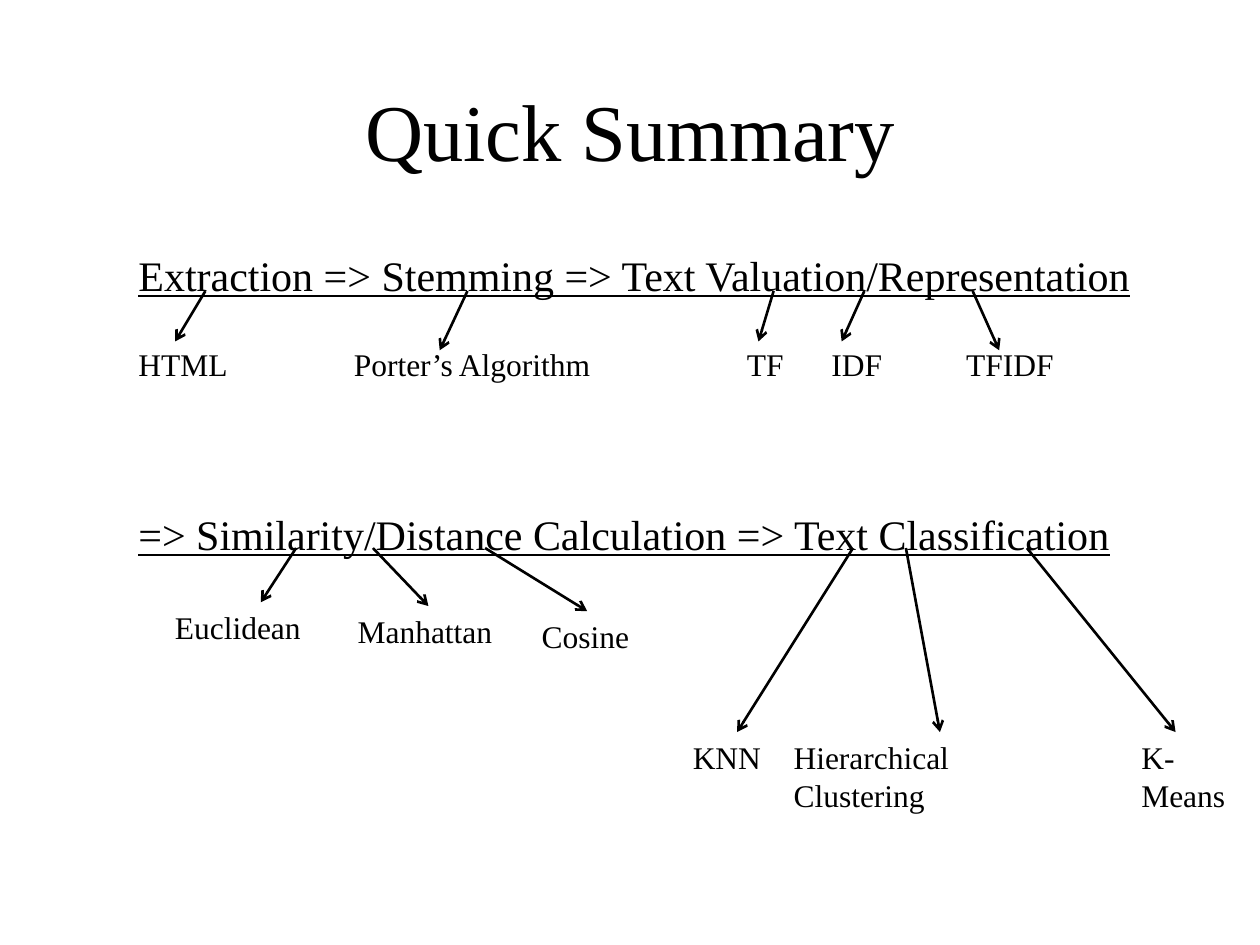
import pptx
import pptx.util
import pptx.dml.color
import pptx.enum.shapes
import pptx.enum.text
import pptx.oxml
import pptx.oxml.ns
from pptx.util import Inches

FONT = "Times New Roman"
BLACK = "000000"

# Content
TITLE = "Quick Summary"
FIRST_STAGES = "Extraction => Stemming => Text Valuation/Representation"
FIRST_METHODS = ["HTML", "Porter’s Algorithm", "TF", "IDF", "TFIDF"]
METHOD_TABS = [1.71, 4.83, 5.5, 6.57]
SECOND_STAGES = "=> Similarity/Distance Calculation => Text Classification"

# Label: left, top, width
SECOND_METHODS = {
    "Euclidean": (1.29, 4.78, 1.3),
    "Manhattan": (2.74, 4.81, 1.4),
    "Cosine": (4.2, 4.85, 1),
    "KNN": (5.4, 5.81, 0.8),
    "Hierarchical Clustering": (6.2, 5.81, 1.6),
    "K-Means": (8.96, 5.81, 0.9),
}

# Underline height: (start x, end x, end y) of each arrow
ARROWS = {
    2.31: [(1.63, 1.39, 2.71), (3.71, 3.49, 2.78), (6.14, 6.02, 2.71),
           (6.86, 6.68, 2.71), (7.72, 7.93, 2.78)],
    4.35: [(2.35, 2.07, 4.78), (2.96, 3.4, 4.81), (3.85, 4.66, 4.85),
           (6.77, 5.85, 5.81), (7.19, 7.46, 5.81), (8.15, 9.33, 5.81)],
}


def color(value):
    return pptx.dml.color.RGBColor.from_string(value)


def write(paragraph, text, size=18, underline=False, before=0, align="LEFT", tabs=()):
    """Fill a paragraph with formatted text."""
    if tabs:
        properties = paragraph._p.get_or_add_pPr()
        stops = pptx.oxml.ns.qn("a:tabLst")
        stops = properties.makeelement(stops, {})
        properties.append(stops)
        for position in tabs:
            stop = stops.makeelement(pptx.oxml.ns.qn("a:tab"),
                                     {"pos": str(Inches(position)), "algn": "l"})
            stops.append(stop)
    paragraph.alignment = getattr(pptx.enum.text.PP_ALIGN, align)
    paragraph.space_before = pptx.util.Pt(before)
    run = paragraph.add_run()
    run.text = text
    run.font.name = FONT
    run.font.size = pptx.util.Pt(size)
    run.font.underline = underline
    run.font.color.rgb = color(BLACK)


def add_box(slide, left, top, width, height):
    box = slide.shapes.add_textbox(*map(Inches, (left, top, width, height)))
    box.text_frame.word_wrap = True
    return box.text_frame


def add_arrow(slide, start, end):
    arrow = slide.shapes.add_connector(
        pptx.enum.shapes.MSO_CONNECTOR.STRAIGHT, *map(Inches, start + end))
    arrow.line.color.rgb = color(BLACK)
    arrow.line.width = pptx.util.Pt(1.5)
    line = arrow.line._get_or_add_ln()
    line.append(line.makeelement(pptx.oxml.ns.qn("a:tailEnd"), {"type": "arrow"}))
    properties = arrow._element.spPr
    properties.append(properties.makeelement(pptx.oxml.ns.qn("a:effectLst"), {}))


def main():
    deck = pptx.Presentation()
    deck.slide_width, deck.slide_height = Inches(10), Inches(7.5)
    slide = deck.slides.add_slide(deck.slide_layouts[5])

    # Title
    title = slide.shapes.title
    title.left, title.top, title.width, title.height = map(Inches, (1, 0.55, 8, 0.95))
    title.text_frame.vertical_anchor = pptx.enum.text.MSO_ANCHOR.MIDDLE
    write(title.text_frame.paragraphs[0], TITLE, size=46, align="CENTER")

    # Pipeline stages, with the first row of methods set on tab stops
    stages = add_box(slide, 1, 1.93, 8.15, 2.6)
    write(stages.paragraphs[0], FIRST_STAGES, size=24, underline=True)
    write(stages.add_paragraph(), "\t".join(FIRST_METHODS), before=26, tabs=METHOD_TABS)
    write(stages.add_paragraph(), SECOND_STAGES, size=24, underline=True, before=71.5)

    # Arrows from the stages to their methods
    for underline_y, targets in ARROWS.items():
        for start_x, end_x, end_y in targets:
            add_arrow(slide, (start_x, underline_y), (end_x, end_y))

    # Methods of the second row of stages
    for method, (left, top, width) in SECOND_METHODS.items():
        label = add_box(slide, left, top, width, 0.4)
        write(label.paragraphs[0], method)

    deck.save("out.pptx")


if __name__ == "__main__":
    main()
